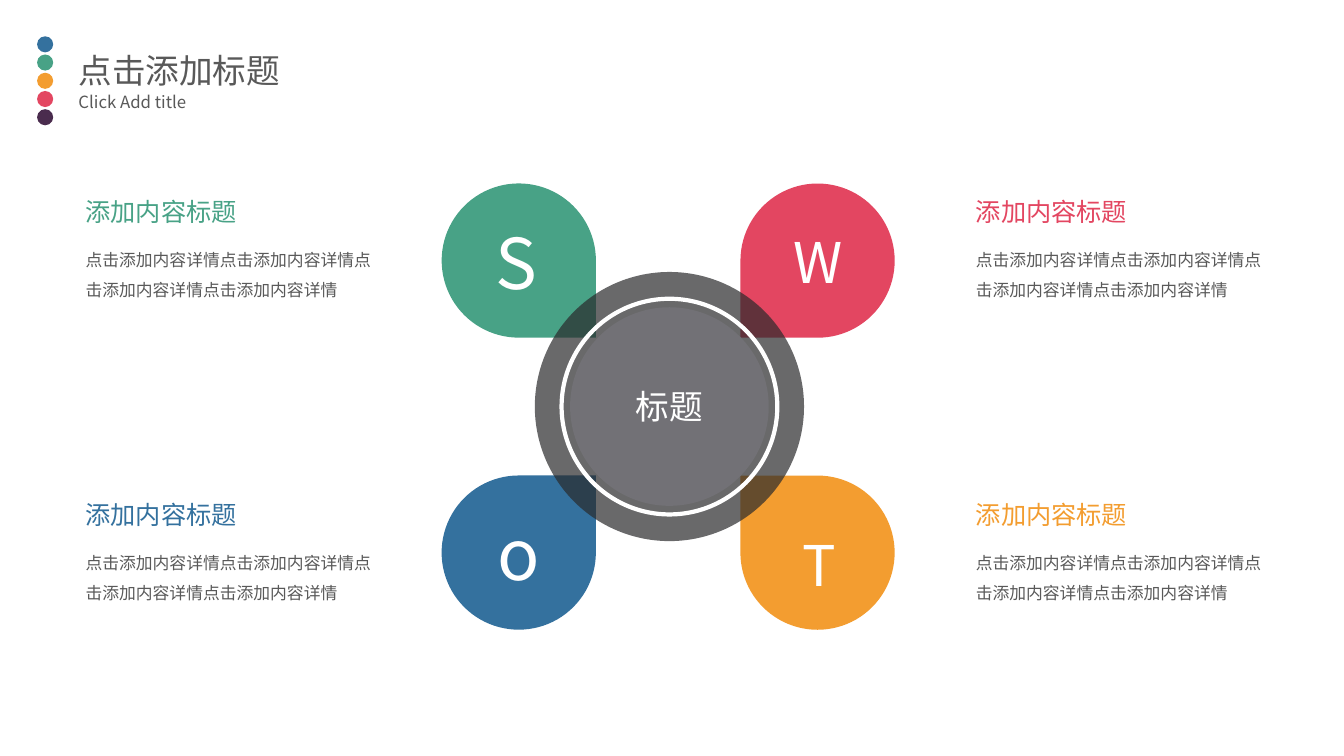
from dataclasses import dataclass

from lxml import etree
from pptx import Presentation
from pptx.dml.color import RGBColor
from pptx.enum.shapes import MSO_SHAPE
from pptx.enum.text import MSO_ANCHOR, MSO_AUTO_SIZE, PP_ALIGN
from pptx.oxml.ns import qn
from pptx.util import Inches, Pt

ELLIPSE, TEARDROP = MSO_SHAPE.OVAL, MSO_SHAPE.TEAR
LEFT, CENTER = PP_ALIGN.LEFT, PP_ALIGN.CENTER
TOP, MIDDLE = MSO_ANCHOR.TOP, MSO_ANCHOR.MIDDLE
GROW = MSO_AUTO_SIZE.SHAPE_TO_FIT_TEXT

FONT = "Noto Sans CJK SC"
GREY, WHITE = "595959", "FFFFFF"
BLUE, GREEN, ORANGE, RED, PURPLE = "34719E", "48A286", "F39D30", "E34661", "4A2C4E"
HEADING = "添加内容标题"
DETAIL = "点击添加内容详情" * 4

# Grid: 100 columns by 100 rows over the slide
SLIDE_W, SLIDE_H = Inches(13.33), Inches(7.5)
COL, ROW = SLIDE_W / 100, SLIDE_H / 100
HUB_X, HUB_Y = 49.81, 53.78
PETAL_SIZE = 20.4


@dataclass(frozen=True)
class Box:
    """Left and width in columns, top and height in rows."""
    left: float
    top: float
    width: float
    height: float

    def emu(self) -> tuple:
        return (round(self.left * COL), round(self.top * ROW),
                round(self.width * COL), round(self.height * ROW))


@dataclass(frozen=True)
class Style:
    size: float
    color: str
    align: int = LEFT
    spacing: float = 1.0


@dataclass(frozen=True)
class Petal:
    """One quarter: teardrop centre, rotation and the place of its text."""
    color: str
    x: float
    y: float
    rotation: int
    text_left: float
    text_top: float


@dataclass(frozen=True)
class Letter:
    text: str
    size: float
    box: Box


PETALS = [
    Petal(BLUE, 38.6, 73.1, 0, 5.63, 65.33),
    Petal(ORANGE, 60.83, 73.1, 270, 71.87, 65.33),
    Petal(GREEN, 38.6, 34.47, 90, 5.63, 25.33),
    Petal(RED, 60.83, 34.47, 180, 71.87, 25.33),
]
LETTERS = [
    Letter("S", 50, Box(36.15, 28.4, 4.43, 12.13)),
    Letter("W", 40, Box(58.05, 29.47, 5.63, 10)),
    Letter("T", 40, Box(58.95, 69.47, 3.83, 10)),
]


def rgb(color: str) -> RGBColor:
    return RGBColor.from_string(color)


def write(frame, text: str, style: Style) -> None:
    paragraph = frame.paragraphs[0]
    paragraph.text = text
    paragraph.alignment = style.align
    paragraph.line_spacing = style.spacing
    font = paragraph.font
    font.size = Pt(style.size)
    font.color.rgb = rgb(style.color)
    font.name = FONT
    defaults = paragraph._p.pPr.find(qn("a:defRPr"))
    etree.SubElement(defaults, qn("a:ea"), typeface=FONT)


def add_text(slide, box: Box, text: str, style: Style, wrap: bool = True) -> None:
    frame = slide.shapes.add_textbox(*box.emu()).text_frame
    frame.word_wrap = wrap
    frame.auto_size = GROW
    frame.vertical_anchor = TOP
    write(frame, text, style)


def add_round(slide, x: float, y: float, size: float, fill: str = "",
              kind: int = ELLIPSE):
    """Shape centred on column x and row y; its size is in rows both ways."""
    width = size * ROW / COL
    box = Box(x - width / 2, y - size / 2, width, size)
    shape = slide.shapes.add_shape(kind, *box.emu())
    shape.shadow.inherit = False
    shape.line.fill.background()
    if fill:
        shape.fill.solid()
        shape.fill.fore_color.rgb = rgb(fill)
    else:
        shape.fill.background()
    return shape


def label(shape, text: str, size: float) -> None:
    shape.text_frame.vertical_anchor = MIDDLE
    write(shape.text_frame, text, Style(size, WHITE, CENTER))


def set_opacity(shape, percent: int) -> None:
    color = shape._element.spPr.find(qn("a:solidFill")).find(qn("a:srgbClr"))
    etree.SubElement(color, qn("a:alpha"), val=str(percent * 1000))


def add_header(slide) -> None:
    for row, color in enumerate([BLUE, GREEN, ORANGE, RED, PURPLE]):
        add_round(slide, 3.36, 5.87 + 2.41 * row, 2.13, color)
    add_text(slide, Box(5.1, 6, 24.2, 6.67), "点击添加标题", Style(24, GREY))
    add_text(slide, Box(5.1, 11.47, 24.2, 4), "Click Add title", Style(12, GREY))


def add_diagram(slide) -> None:
    # Petals
    for petal in PETALS:
        teardrop = add_round(slide, petal.x, petal.y, PETAL_SIZE, petal.color, TEARDROP)
        teardrop.rotation = petal.rotation
        if petal.color == BLUE:
            label(teardrop, "o", 50)

    # Hub
    halo = add_round(slide, HUB_X, HUB_Y, 35.6, "2A2A2C")
    set_opacity(halo, 70)
    label(add_round(slide, HUB_X, HUB_Y, 26.27, "727176"), "标题", 24)
    ring = add_round(slide, HUB_X, HUB_Y, 28.53)
    ring.line.color.rgb = rgb(WHITE)
    ring.line.width = Pt(3)

    # Letters
    for letter in LETTERS:
        add_text(slide, letter.box, letter.text,
                 Style(letter.size, WHITE, CENTER), wrap=False)


def add_details(slide) -> None:
    for petal in PETALS:
        left, top = petal.text_left, petal.text_top
        add_text(slide, Box(left, top, 17.1, 5.33), HEADING, Style(18, petal.color))
        add_text(slide, Box(left, top + 5.73, 23.48, 8.93), DETAIL,
                 Style(12, GREY, spacing=1.5))


def main() -> None:
    deck = Presentation()
    deck.slide_width, deck.slide_height = SLIDE_W, SLIDE_H
    slide = deck.slides.add_slide(deck.slide_layouts[6])
    add_header(slide)
    add_diagram(slide)
    add_details(slide)
    deck.save("out.pptx")


if __name__ == "__main__":
    main()
